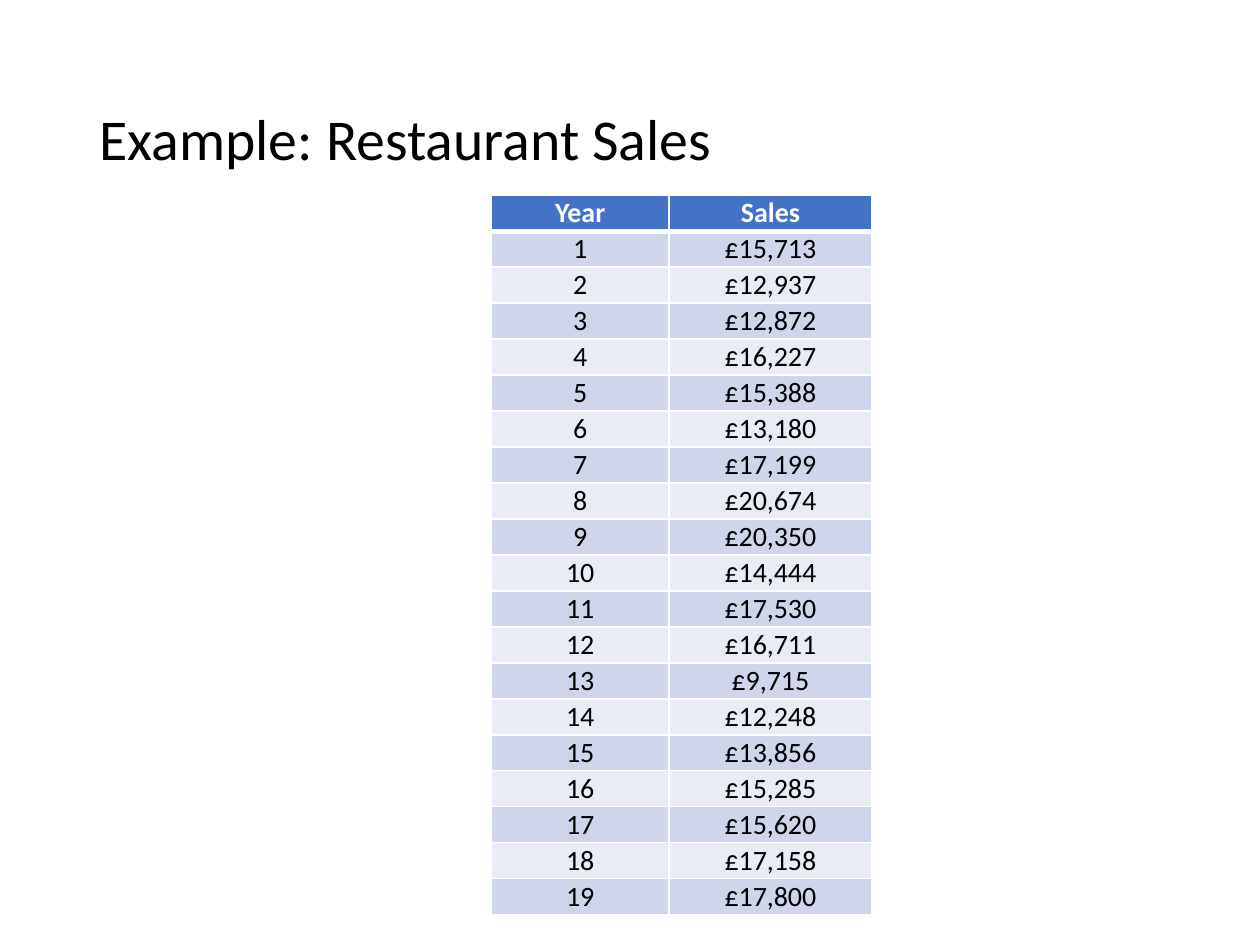
import pptx
import pptx.dml.color
import pptx.enum.text
import pptx.oxml
import pptx.oxml.ns
import pptx.util
from pptx.util import Inches

SALES = [15713, 12937, 12872, 16227, 15388, 13180, 17199, 20674, 20350, 14444,
         17530, 16711, 9715, 12248, 13856, 15285, 15620, 17158, 17800]
HEADER_FILL = "4472C4"
BAND_FILLS = ["E9EBF5", "CFD5EA"]
COLUMN_WIDTHS = [1.41, 1.61]
TABLE_HEIGHT = 5.71


def paint(target, color):
    """Give a fill or a font a solid colour from a hex string."""
    if hasattr(target, "solid"):
        target.solid()
        target.fore_color.rgb = pptx.dml.color.RGBColor.from_string(color)
    else:
        target.color.rgb = pptx.dml.color.RGBColor.from_string(color)


def write(frame, text, size=16, color="000000", bold=False, align="CENTER", spacing=1.0):
    para = frame.paragraphs[0]
    para.alignment = pptx.enum.text.PP_ALIGN[align]
    para.line_spacing = spacing
    span = para.add_run()
    span.text = text
    span.font.name = "Calibri"
    span.font.size = pptx.util.Pt(size)
    span.font.bold = bold
    paint(span.font, color)


deck = pptx.Presentation()
deck.slide_width, deck.slide_height = Inches(10), Inches(7.5)
page = deck.slides.add_slide(deck.slide_layouts[5])
paint(page.background.fill, "FFFFFF")

title = page.shapes.title
title.left, title.top = Inches(0.69), Inches(0.4)
title.width, title.height = Inches(8.62), Inches(1.45)
title.text_frame.auto_size = pptx.enum.text.MSO_AUTO_SIZE.NONE
title.text_frame.vertical_anchor = pptx.enum.text.MSO_ANCHOR.MIDDLE
write(title.text_frame, "Example: Restaurant Sales", size=33, align="LEFT", spacing=0.9)

rows = [("Year", "Sales")]
rows += [(str(year), f"£{amount:,}") for year, amount in enumerate(SALES, start=1)]
table = page.shapes.add_table(len(rows), len(COLUMN_WIDTHS), Inches(3.9), Inches(1.55),
                              Inches(sum(COLUMN_WIDTHS)), Inches(TABLE_HEIGHT)).table
for column, width in zip(table.columns, COLUMN_WIDTHS):
    column.width = Inches(width)

for row_index, values in enumerate(rows):
    header = row_index == 0
    table.rows[row_index].height = Inches(TABLE_HEIGHT / len(rows))
    for column_index, value in enumerate(values):
        cell = table.cell(row_index, column_index)
        cell.margin_left = cell.margin_right = cell.margin_top = cell.margin_bottom = 0
        cell.vertical_anchor = pptx.enum.text.MSO_ANCHOR.MIDDLE
        write(cell.text_frame, value, color="FFFFFF" if header else "000000", bold=header)
        paint(cell.fill, HEADER_FILL if header else BAND_FILLS[row_index % 2])
        # Borders come before the fill in the cell properties
        for position, side in enumerate(["lnL", "lnR", "lnT", "lnB"]):
            weight = pptx.util.Pt(3 if header and side == "lnB" else 1)
            border = pptx.oxml.parse_xml(
                f'<a:{side} {pptx.oxml.ns.nsdecls("a")} w="{weight}">'
                '<a:solidFill><a:srgbClr val="FFFFFF"/></a:solidFill>'
                f'</a:{side}>')
            cell._tc.get_or_add_tcPr().insert(position, border)

deck.save("out.pptx")
